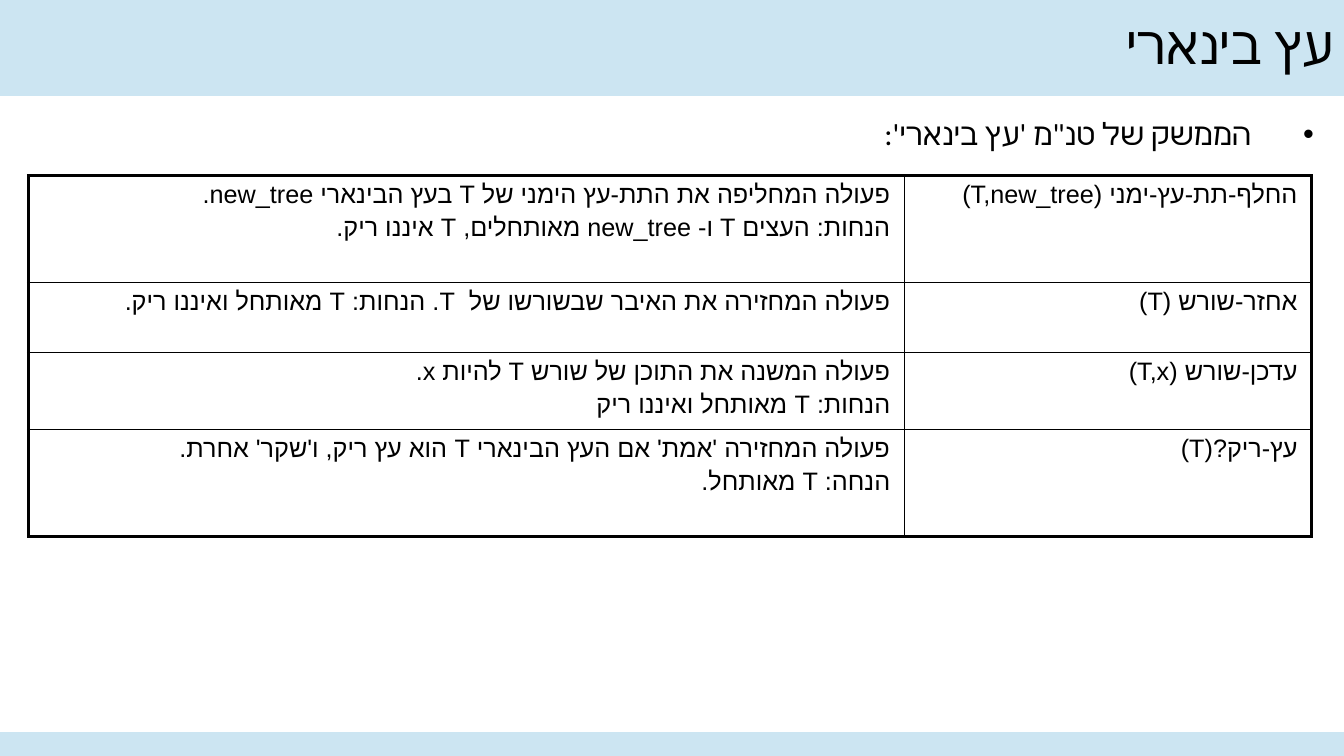
from lxml import etree
from pptx import Presentation
from pptx.dml.color import RGBColor
from pptx.enum.shapes import MSO_SHAPE
from pptx.enum.text import MSO_ANCHOR, PP_ALIGN
from pptx.oxml import parse_xml
from pptx.oxml.ns import qn
from pptx.util import Inches, Pt

NS = 'xmlns:a="http://schemas.openxmlformats.org/drawingml/2006/main"'
BAND, BLACK, WHITE = "CCE5F2", "000000", "FFFFFF"


def rgb(color):
    return RGBColor.from_string(color)


def write(tf, text, size=18, font="Arial", before=0, spacing=None):
    tf.word_wrap = True
    for i, line in enumerate(text.split("\n")):
        p = tf.add_paragraph() if i else tf.paragraphs[0]
        p.alignment = PP_ALIGN.RIGHT
        p.space_before = Pt(before)
        p.line_spacing = spacing
        p._p.get_or_add_pPr().set("rtl", "1")
        r = p.add_run()
        r.text = line
        r.font.size = Pt(size)
        r.font.name = font
        r.font.color.rgb = rgb(BLACK)
        etree.SubElement(r._r.get_or_add_rPr(), qn("a:cs")).set("typeface", font)


prs = Presentation()
prs.slide_width, prs.slide_height = Inches(13.33), Inches(7.5)
s = prs.slides.add_slide(prs.slide_layouts[6])

for top, height in ((0, 0.95), (7.27, 0.24)):
    sp = s.shapes.add_shape(MSO_SHAPE.RECTANGLE, 0, Inches(top), prs.slide_width, Inches(height))
    sp.shadow.inherit = False
    sp.fill.solid()
    sp.fill.fore_color.rgb = rgb(BAND)
    sp.line.color.rgb = rgb(BAND)
    sp.line.width = Pt(1)

rows = [
    (1.06, "פעולה המחליפה את התת-עץ הימני של T בעץ הבינארי new_tree.\n"
           "הנחות: העצים T ו- new_tree מאותחלים, T איננו ריק.",
     "החלף-תת-עץ-ימני (T,new_tree) "),
    (0.7, "פעולה המחזירה את האיבר שבשורשו של  T. הנחות: T מאותחל ואיננו ריק.",
     "אחזר-שורש (T)"),
    (0.76, "פעולה המשנה את התוכן של שורש T להיות x.\n"
           "הנחות: T מאותחל ואיננו ריק",
     "עדכן-שורש (T,x)"),
    (1.06, "פעולה המחזירה 'אמת' אם העץ הבינארי T הוא עץ ריק, ו'שקר' אחרת.\n"
           "הנחה: T מאותחל.",
     "עץ-ריק?(T)"),
]
widths = (8.69, 4.04)
table = s.shapes.add_table(len(rows), len(widths), Inches(0.28), Inches(1.74),
                           Inches(12.73), Inches(3.58)).table
table.first_row = table.horz_banding = False
for col, width in zip(table.columns, widths):
    col.width = Inches(width)
for i, (height, *texts) in enumerate(rows):
    table.rows[i].height = Inches(height)
    for j, text in enumerate(texts):
        cell = table.cell(i, j)
        cell.margin_left = cell.margin_right = Inches(0.14)
        cell.margin_top = cell.margin_bottom = Inches(0.05)
        write(cell.text_frame, text, before=3.6)
        outer = {"L": j == 0, "R": j == len(widths) - 1, "T": i == 0, "B": i == len(rows) - 1}
        for side, edge in outer.items():
            cell._tc.get_or_add_tcPr().append(parse_xml(
                f'<a:ln{side} {NS} w="{Pt(2.25 if edge else 1)}"><a:solidFill>'
                f'<a:srgbClr val="{BLACK}"/></a:solidFill></a:ln{side}>'))
        cell.fill.solid()
        cell.fill.fore_color.rgb = rgb(WHITE)

title = s.shapes.add_textbox(Inches(1.13), Inches(-0.01), Inches(12.2), Inches(0.95)).text_frame
title.vertical_anchor = MSO_ANCHOR.MIDDLE
write(title, "עץ בינארי", size=38, font="Calibri", spacing=0.9)

body = s.shapes.add_textbox(0, Inches(1.13), Inches(13.13), Inches(5.58)).text_frame
write(body, "הממשק של טנ\"מ 'עץ בינארי':", size=22, font="Calibri", before=10, spacing=0.9)
pPr = body.paragraphs[0]._p.get_or_add_pPr()
pPr.set("marL", str(Inches(0.62)))
pPr.set("indent", str(Inches(-0.62)))
pPr.append(parse_xml(f'<a:buFont {NS} typeface="Arial"/>'))
pPr.append(parse_xml(f'<a:buChar {NS} char="•"/>'))

prs.save("out.pptx")
